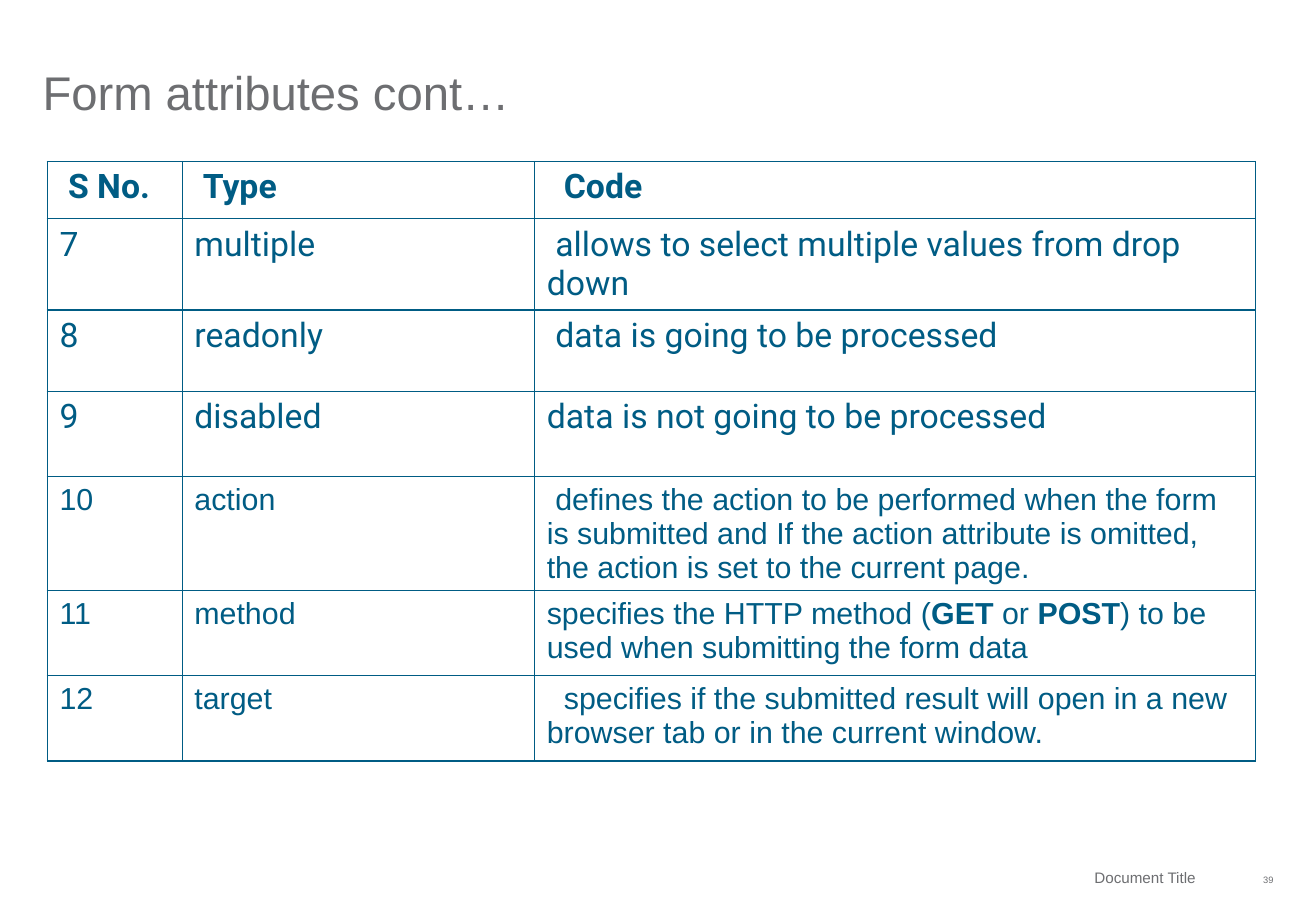
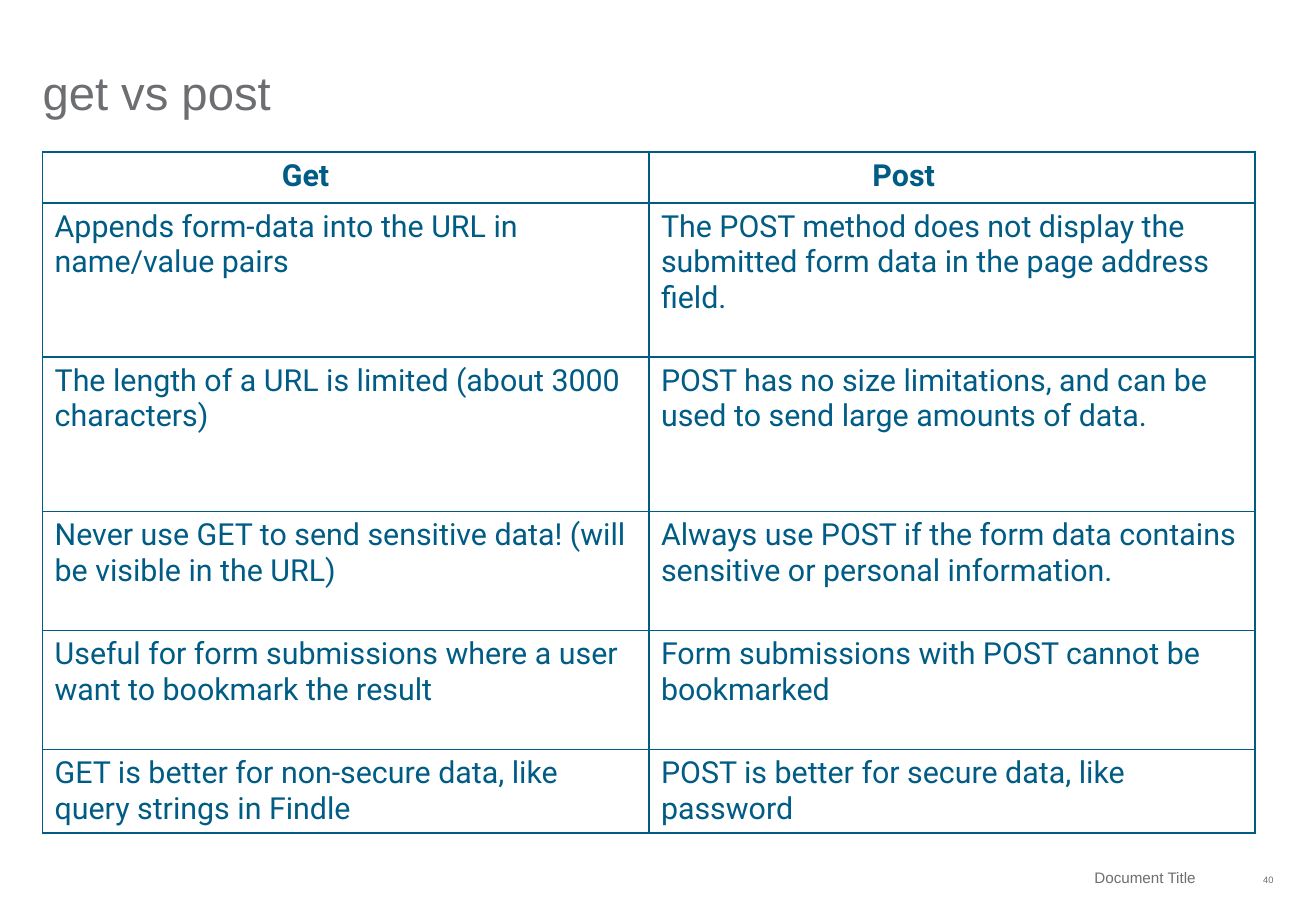
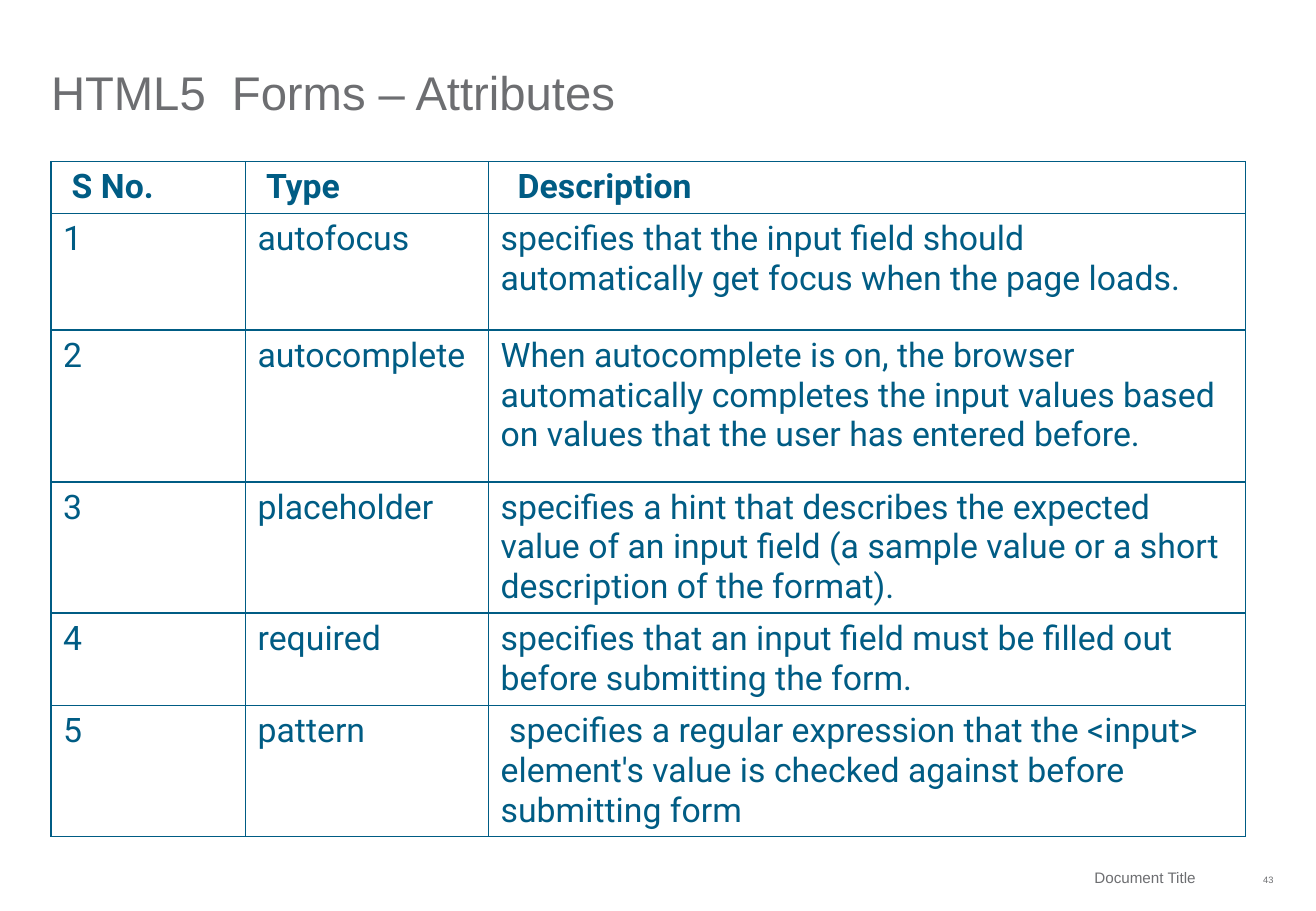
from lxml.etree import SubElement
from pptx import Presentation
from pptx.dml.color import RGBColor
from pptx.enum.text import MSO_ANCHOR, MSO_AUTO_SIZE, PP_ALIGN
from pptx.oxml.ns import qn
from pptx.util import Inches, Pt

BLUE = RGBColor(0x00, 0x5C, 0x84)
GREY = RGBColor(0x6D, 0x6E, 0x71)
WHITE = RGBColor(0xFF, 0xFF, 0xFF)

TITLE = {"size": Pt(28), "name": "Arial", "color": GREY}
FOOTER = {"size": Pt(9), "name": "Arial", "color": GREY}
NUMBER = {"size": Pt(5.5), "name": "Arial", "color": GREY}
HEAD_20 = {"size": Pt(20), "name": "Roboto", "color": BLUE, "bold": True}
BODY_20 = HEAD_20 | {"bold": False}
HEAD_18 = HEAD_20 | {"size": Pt(18)}
BODY_18 = BODY_20 | {"size": Pt(18)}
ARIAL_18 = BODY_18 | {"name": "Arial"}

SPACE = 0.07  # first-line indent step, inches

# indents: (row, column) -> first-line indent in inches
SLIDES = [
    {
        "title": "Form attributes cont…", "title_at": (0.35, 0.22, 10.13, 0.77),
        "number": "39", "at": (0.39, 1.33),
        "cols": (1.11, 2.9, 5.93),
        "rows": (0.47, 0.62, 0.67, 0.7, 0.79, 0.7, 0.7),
        "formats": [HEAD_20] + [BODY_20] * 3 + [ARIAL_18] * 3,
        "indents": {(0, 0): SPACE, (0, 1): SPACE, (0, 2): 2 * SPACE,
                    (1, 2): SPACE, (2, 2): SPACE, (4, 2): SPACE, (6, 2): 2 * SPACE},
        "cells": [
            ("S No.", "Type", "Code"),
            ("7", "multiple", "allows to select multiple values from drop down"),
            ("8", "readonly", "data is going to be processed"),
            ("9", "disabled", "data is not going to be processed"),
            ("10", "action", "defines the action to be performed when the form is submitted "
             "and If the action attribute is omitted, the action is set to the current page."),
            ("11", "method", "specifies the HTTP method (**GET** or **POST**) to be used "
             "when submitting the form data"),
            ("12", "target", "specifies if the submitted result will open in a new "
             "browser tab or in the current window."),
        ],
    },
    {
        "title": "get vs post", "title_at": (0.35, 0.22, 10.13, 0.77),
        "number": "40", "at": (0.35, 1.25),
        "cols": (4.99, 4.99),
        "rows": (0.42, 1.27, 1.27, 0.98, 0.98, 0.69),
        "formats": [HEAD_18] + [BODY_18] * 5,
        "indents": {(0, 0): 1.87, (0, 1): 1.74},
        "cells": [
            ("Get", "Post"),
            ("Appends form-data into the URL in name/value pairs",
             "The POST method does not display the submitted form data in the page "
             "address field."),
            ("The length of a URL is limited (about 3000 characters)",
             "POST has no size limitations, and can be used to send large amounts of data."),
            ("Never use GET to send sensitive data! (will be visible in the URL)",
             "Always use POST if the form data contains sensitive or personal information."),
            ("Useful for form submissions where a user want to bookmark the result",
             "Form submissions with POST cannot be bookmarked"),
            ("GET is better for non-secure data, like query strings in Findle",
             "POST is better for secure data, like password"),
        ],
    },
    {
        "title": "HTML5  Forms – Attributes", "title_at": (0.42, 0.42, 10, 0.57),
        "number": "43", "at": (0.42, 1.33),
        "cols": (1.6, 2, 6.23),
        "rows": (0.42, 0.96, 1.25, 1.08, 0.76, 1.08),
        "formats": [HEAD_20] + [BODY_20] * 5,
        "indents": {(0, 0): SPACE, (0, 1): SPACE, (0, 2): 2 * SPACE, (5, 2): SPACE},
        "cells": [
            ("S No.", "Type", "Description"),
            ("1", "autofocus", "specifies that the input field should automatically get "
             "focus when the page loads."),
            ("2", "autocomplete", "When autocomplete is on, the browser automatically "
             "completes the input values based on values that the user has entered before."),
            ("3", "placeholder", "specifies a hint that describes the expected value of an "
             "input field (a sample value or a short description of the format)."),
            ("4", "required", "specifies that an input field must be filled out before "
             "submitting the form."),
            ("5", "pattern", "specifies a regular expression that the <input> element's "
             "value is checked against before submitting form"),
        ],
    },
]


def write(p, text, fmt):
    """Add text to a paragraph; parts between ** marks are bold."""
    for i, part in enumerate(text.split("**")):
        r = p.add_run()
        r.text = part
        for key, value in fmt.items():
            if key == "color":
                r.font.color.rgb = value
            else:
                setattr(r.font, key, value)
        if i % 2:
            r.font.bold = True


def add_borders(cell):
    tcPr = cell._tc.get_or_add_tcPr()
    for side in ("a:lnL", "a:lnR", "a:lnT", "a:lnB"):
        ln = SubElement(tcPr, qn(side), w=str(Pt(1)))
        fill = SubElement(ln, qn("a:solidFill"))
        SubElement(fill, qn("a:srgbClr"), val=str(BLUE))


prs = Presentation()
prs.slide_width, prs.slide_height = Inches(10.83), Inches(7.5)

for page in SLIDES:
    s = prs.slides.add_slide(prs.slide_layouts[5])

    title = s.shapes.title
    title.left, title.top, title.width, title.height = map(Inches, page["title_at"])
    footer = s.shapes.add_textbox(*map(Inches, (6.19, 7.08, 3.8, 0.28)))
    number = s.shapes.add_textbox(*map(Inches, (10.09, 7.08, 0.39, 0.33)))
    for sp, text, fmt, align, anchor, right in (
        (title, page["title"], TITLE, PP_ALIGN.LEFT, MSO_ANCHOR.BOTTOM, 0),
        (footer, "Document Title", FOOTER, PP_ALIGN.RIGHT, MSO_ANCHOR.MIDDLE, 0.15),
        (number, page["number"], NUMBER, PP_ALIGN.RIGHT, MSO_ANCHOR.MIDDLE, 0),
    ):
        tf = sp.text_frame
        frame = {"word_wrap": True, "auto_size": MSO_AUTO_SIZE.NONE,
                 "vertical_anchor": anchor, "margin_left": 0, "margin_top": 0,
                 "margin_bottom": 0, "margin_right": Inches(right)}
        for key, value in frame.items():
            setattr(tf, key, value)
        p = tf.paragraphs[0]
        p.alignment = align
        write(p, text, fmt)
    title.text_frame.paragraphs[0].line_spacing = 0.9

    cols, rows = page["cols"], page["rows"]
    left, top = page["at"]
    table = s.shapes.add_table(len(rows), len(cols), Inches(left), Inches(top),
                               Inches(sum(cols)), Inches(sum(rows))).table
    table.first_row = table.horz_banding = False
    for col, width in zip(table.columns, cols):
        col.width = Inches(width)
    for i, (row, height) in enumerate(zip(table.rows, rows)):
        row.height = Inches(height)
        for j, cell in enumerate(row.cells):
            add_borders(cell)
            cell.fill.solid()
            cell.fill.fore_color.rgb = WHITE
            p = cell.text_frame.paragraphs[0]
            indent = page["indents"].get((i, j), 0)
            if indent:
                p._p.get_or_add_pPr().set("indent", str(Inches(indent)))
            write(p, page["cells"][i][j], page["formats"][i])

prs.save("out.pptx")
